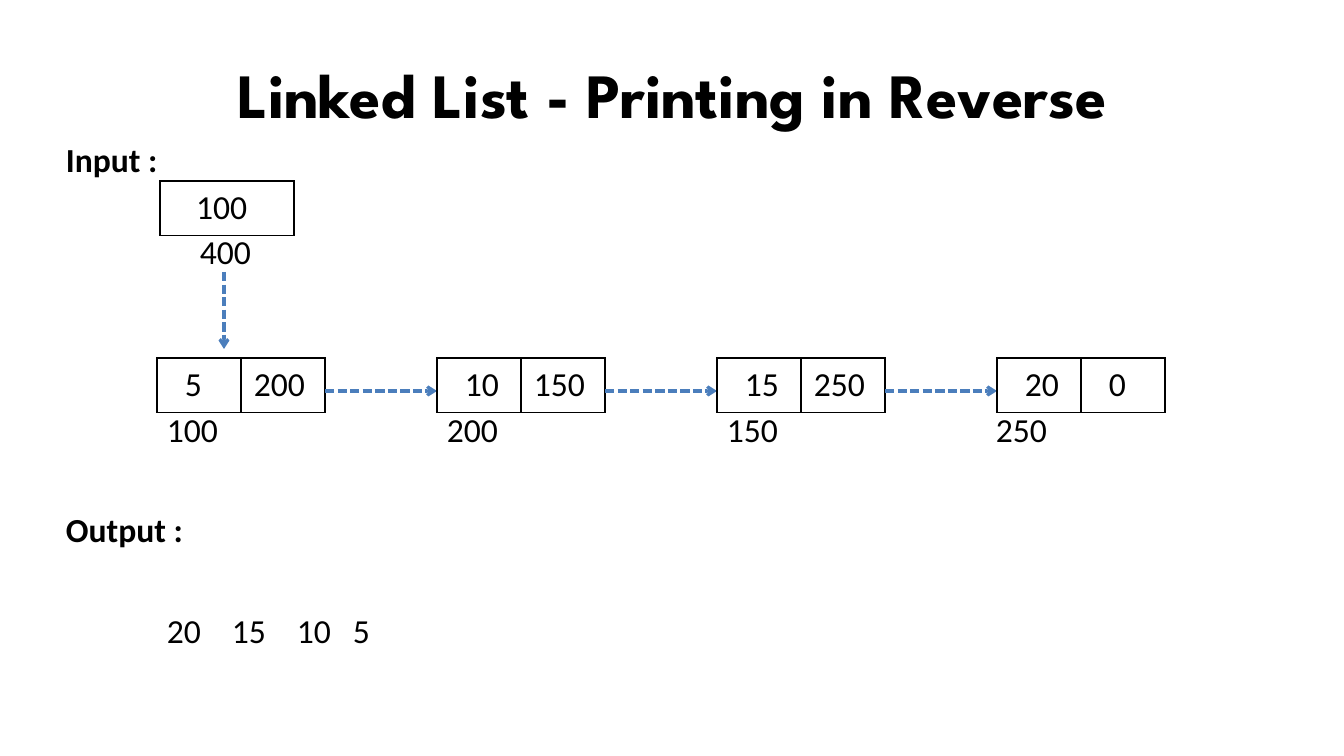
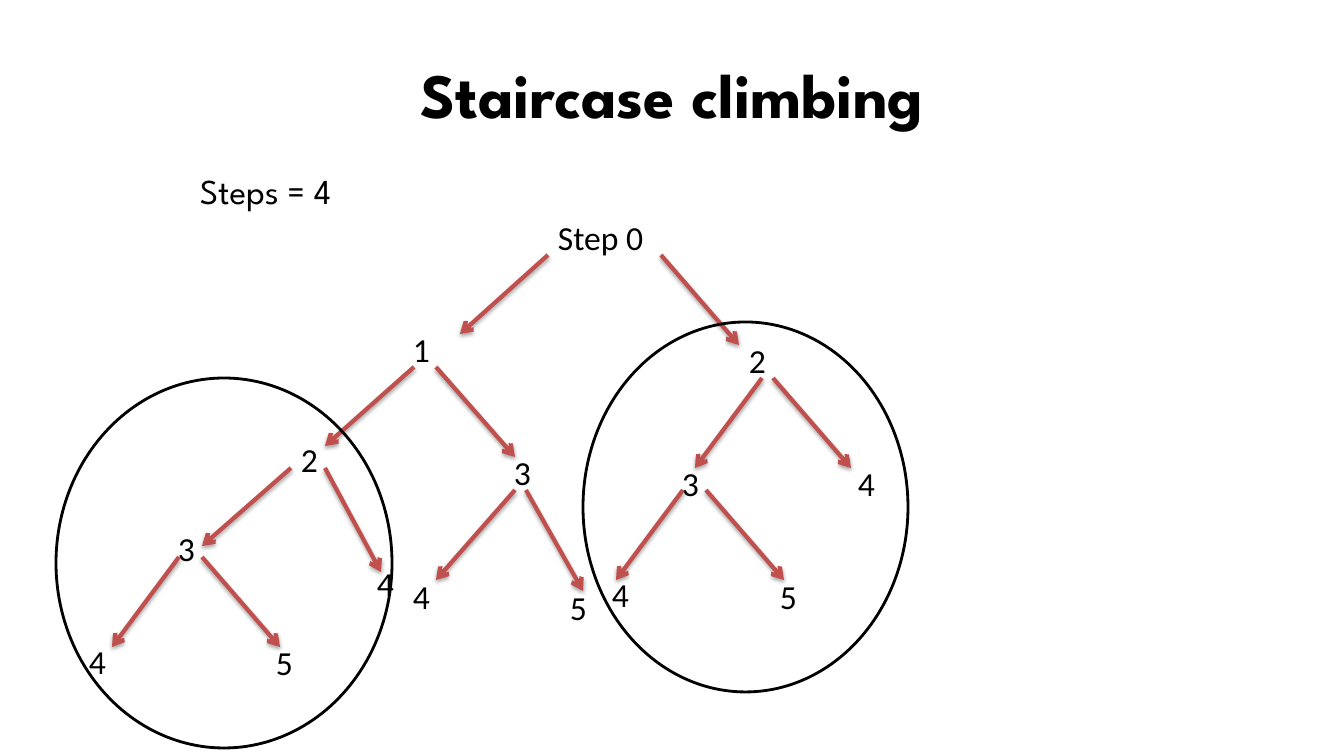
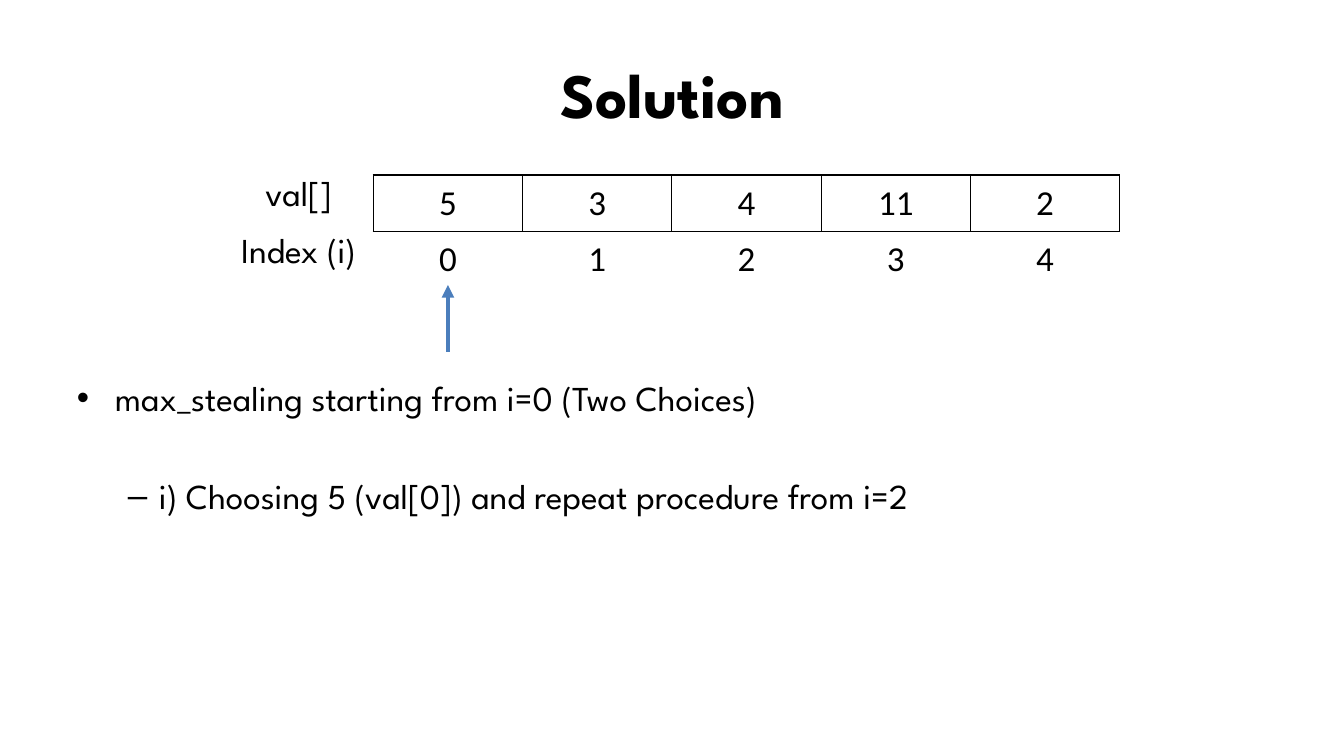
from lxml import etree
from pptx import Presentation
from pptx.dml.color import RGBColor
from pptx.enum.dml import MSO_LINE
from pptx.enum.shapes import MSO_CONNECTOR, MSO_SHAPE
from pptx.enum.text import MSO_ANCHOR, PP_ALIGN
from pptx.oxml.ns import qn
from pptx.util import Emu, Pt

PX = 914400 / 100.8
TITLE_ONLY = 5
STRAIGHT = MSO_CONNECTOR.STRAIGHT
ELLIPSE = MSO_SHAPE.OVAL
DASHED = MSO_LINE.SQUARE_DOT
LEFT, CENTER = PP_ALIGN.LEFT, PP_ALIGN.CENTER
TOP, MIDDLE = MSO_ANCHOR.TOP, MSO_ANCHOR.MIDDLE
COLORS = {"ink": "000000", "link": "4B7EBC", "branch": "C0504D"}
HEADING_FONT, BODY_FONT = "League Spartan", "Calibri"
CELL_SIDES = "LRTB"


def px(length):
    return Emu(round(length * PX))


def rgb(name):
    return RGBColor.from_string(COLORS[name])


def add_xml(parent, tag, **attributes):
    return etree.SubElement(parent, qn(tag), attributes)


class Deck:
    """Holds the shared style and the slide being filled."""

    def __init__(self):
        self.presentation = Presentation()
        self.presentation.slide_width = px(1344)
        self.presentation.slide_height = px(756)
        self.slide = None

    def new_slide(self, title):
        layout = self.presentation.slide_layouts[TITLE_ONLY]
        self.slide = self.presentation.slides.add_slide(layout)
        heading = self.slide.shapes.title
        heading.left, heading.top = px(67), px(30)
        heading.width, heading.height = px(1210), px(126)
        heading.text_frame.text = title
        heading.text_frame.vertical_anchor = MIDDLE
        self.style(heading.text_frame.paragraphs[0], 45, HEADING_FONT, True, CENTER)

    def style(self, paragraph, size, font, bold=False, align=LEFT):
        paragraph.alignment = align
        for run in paragraph.runs:
            run.font.size = Pt(size)
            run.font.name = font
            run.font.bold = bold
            run.font.color.rgb = rgb("ink")

    def text(self, text, x, y, width=112, size=24, font=BODY_FONT, bold=False):
        box = self.slide.shapes.add_textbox(px(x), px(y), px(width), px(50))
        frame = box.text_frame
        frame.word_wrap = True
        frame.text = text
        for paragraph in frame.paragraphs:
            self.style(paragraph, size, font, bold)
        return frame

    def tabbed(self, items, x, y, width, stops):
        """Place items on one line, each after the first at its tab stop."""
        paragraph = self.text("\t".join(items), x, y, width).paragraphs[0]
        tabs = add_xml(paragraph._p.get_or_add_pPr(), "a:tabLst")
        for stop in stops:
            add_xml(tabs, "a:tab", pos=str(px(stop)), algn="l")

    def bullets(self, items, x, y, width):
        """Items are (text, level, bullet, left margin, hanging indent)."""
        frame = self.text("\n".join(item[0] for item in items), x, y, width, 25, HEADING_FONT)
        for index, (paragraph, item) in enumerate(zip(frame.paragraphs, items)):
            _, level, bullet, margin, hanging = item
            paragraph.level = level
            paragraph.space_before = Pt(40 if index else 0)
            properties = paragraph._p.get_or_add_pPr()
            properties.set("marL", str(px(margin)))
            properties.set("indent", str(-px(hanging)))
            add_xml(properties, "a:buFont", typeface="Arial")
            add_xml(properties, "a:buChar", char=bullet)

    def table(self, rows, x, y, width):
        """Add a plain table with equal columns and return it."""
        columns = len(rows[0])
        table = self.slide.shapes.add_table(
            len(rows), columns, px(x), px(y), px(width), px(54 * len(rows))).table
        table.first_row = table.horz_banding = False
        for column in table.columns:
            column.width = px(width / columns)
        for row_index, row in enumerate(rows):
            for column_index, text in enumerate(row):
                self.cell(table.cell(row_index, column_index), text)
        return table

    def cell(self, cell, text):
        cell.text_frame.text = text
        cell.vertical_anchor = TOP
        cell.margin_left = cell.margin_right = px(13)
        cell.margin_top = cell.margin_bottom = px(7)
        cell.fill.background()
        self.style(cell.text_frame.paragraphs[0], 24, BODY_FONT)
        self.borders(cell, CELL_SIDES)

    def borders(self, cell, visible):
        """Draw the visible sides, given as letters of LRTB, and clear the rest."""
        properties = cell._tc.get_or_add_tcPr()
        for index, side in enumerate(CELL_SIDES):
            tag = qn(f"a:ln{side}")
            for old_line in properties.findall(tag):
                properties.remove(old_line)
            line = etree.Element(tag, w=str(Pt(1)))
            if side in visible:
                fill = add_xml(line, "a:solidFill")
                add_xml(fill, "a:srgbClr", val=COLORS["ink"])
            else:
                add_xml(line, "a:noFill")
            properties.insert(index, line)

    def arrow(self, start, end, color="link", weight=3, head="arrow", dash=None, shadow=False):
        connector = self.slide.shapes.add_connector(
            STRAIGHT, *(px(value) for value in (*start, *end)))
        connector.line.color.rgb = rgb(color)
        connector.line.width = Pt(weight)
        if dash:
            connector.line.dash_style = dash
        properties = connector.element.spPr
        add_xml(properties.find(qn("a:ln")), "a:tailEnd", type=head)
        effects = add_xml(properties, "a:effectLst")
        if shadow:
            outer = add_xml(effects, "a:outerShdw", blurRad=str(Pt(3.1)), dist=str(Pt(1.8)),
                            dir="5400000", rotWithShape="0")
            shade = add_xml(outer, "a:srgbClr", val=COLORS["ink"])
            add_xml(shade, "a:alpha", val="35000")

    def ring(self, x, y, width, height):
        ring = self.slide.shapes.add_shape(ELLIPSE, px(x), px(y), px(width), px(height))
        ring.shadow.inherit = False
        ring.fill.background()
        ring.line.color.rgb = rgb("ink")
        ring.line.width = Pt(2)


def linked_list_slide(deck):
    deck.new_slide("Linked List - Printing in Reverse")
    deck.text("Input :", 56, 134, 213, bold=True)
    deck.text("Output :", 56, 504, 213, bold=True)

    head = deck.table([["100"]], 160, 181, 134)
    head.cell(0, 0).margin_left = px(36)
    deck.text("400", 190, 226)
    deck.arrow((224, 272), (224, 349), weight=2.25, dash=DASHED)

    nodes = [("5", "200", "100", 157), ("10", "150", "200", 437),
             ("15", "250", "150", 717), ("20", "0", "250", 986)]
    pitch, node_width = 280, 168
    for index, (value, following, address, address_x) in enumerate(nodes):
        x = 157 + index * pitch
        node = deck.table([[value, following]], x, 358, node_width)
        node.cell(0, 0).margin_left = px(28)
        if following == "0":
            node.cell(0, 1).margin_left = px(28)
        else:
            deck.arrow((x + node_width, 391), (x + pitch, 391), weight=2.25, dash=DASHED)
        deck.text(address, address_x, 404)

    deck.tabbed(["20", "15", "10", "5"], 157, 605, 594, [65, 130, 186])


def staircase_slide(deck):
    deck.new_slide("Staircase climbing")
    deck.text("Steps = 4", 190, 165, 224, 25, HEADING_FONT)
    deck.text("Step 0", 548, 212, 168)

    steps = [("1", 403, 324), ("2", 739, 335), ("2", 291, 434), ("3", 504, 447),
             ("3", 672, 458), ("4", 848, 458), ("3", 168, 523), ("4", 367, 558),
             ("4", 403, 571), ("5", 560, 582), ("4", 602, 569), ("5", 770, 571),
             ("4", 79, 636), ("5", 266, 637)]
    for step, x, y in steps:
        deck.text(step, x, y, 56)

    branches = [((548, 255), (460, 334)), ((661, 255), (739, 345)),
                ((414, 367), (325, 446)), ((436, 367), (515, 457)),
                ((762, 378), (695, 468)), ((773, 378), (851, 468)),
                ((291, 468), (202, 546)), ((325, 468), (381, 572)),
                ((515, 490), (436, 580)), ((526, 490), (583, 591)),
                ((683, 490), (616, 580)), ((706, 490), (784, 580)),
                ((179, 557), (112, 647)), ((202, 557), (280, 647))]
    for start, end in branches:
        deck.arrow(start, end, "branch", shadow=True)

    deck.ring(56, 378, 336, 370)
    deck.ring(583, 322, 325, 370)


def solution_slide(deck):
    deck.new_slide("Solution")
    rows = [["val[]", "5", "3", "4", "11", "2"], ["Index (i)", "0", "1", "2", "3", "4"]]
    table = deck.table(rows, 224, 175, 896)
    label_borders, value_borders = ["R", ""], [CELL_SIDES, "T"]
    for row_index, row in enumerate(rows):
        for column_index in range(len(row)):
            is_label = column_index == 0
            cell = table.cell(row_index, column_index)
            font = HEADING_FONT if is_label else BODY_FONT
            deck.style(cell.text_frame.paragraphs[0], 25, font, align=CENTER)
            deck.borders(cell, (label_borders if is_label else value_borders)[row_index])

    deck.arrow((448, 352), (448, 285), head="triangle")
    deck.bullets([
        ("max_stealing starting from i=0 (Two Choices)", 0, "•", 38, 38),
        ("i) Choosing 5 (val[0]) and repeat procedure from i=2", 1, "–", 82, 31),
    ], 67, 372, 1210)


def main():
    deck = Deck()
    linked_list_slide(deck)
    staircase_slide(deck)
    solution_slide(deck)
    deck.presentation.save("out.pptx")


if __name__ == "__main__":
    main()
